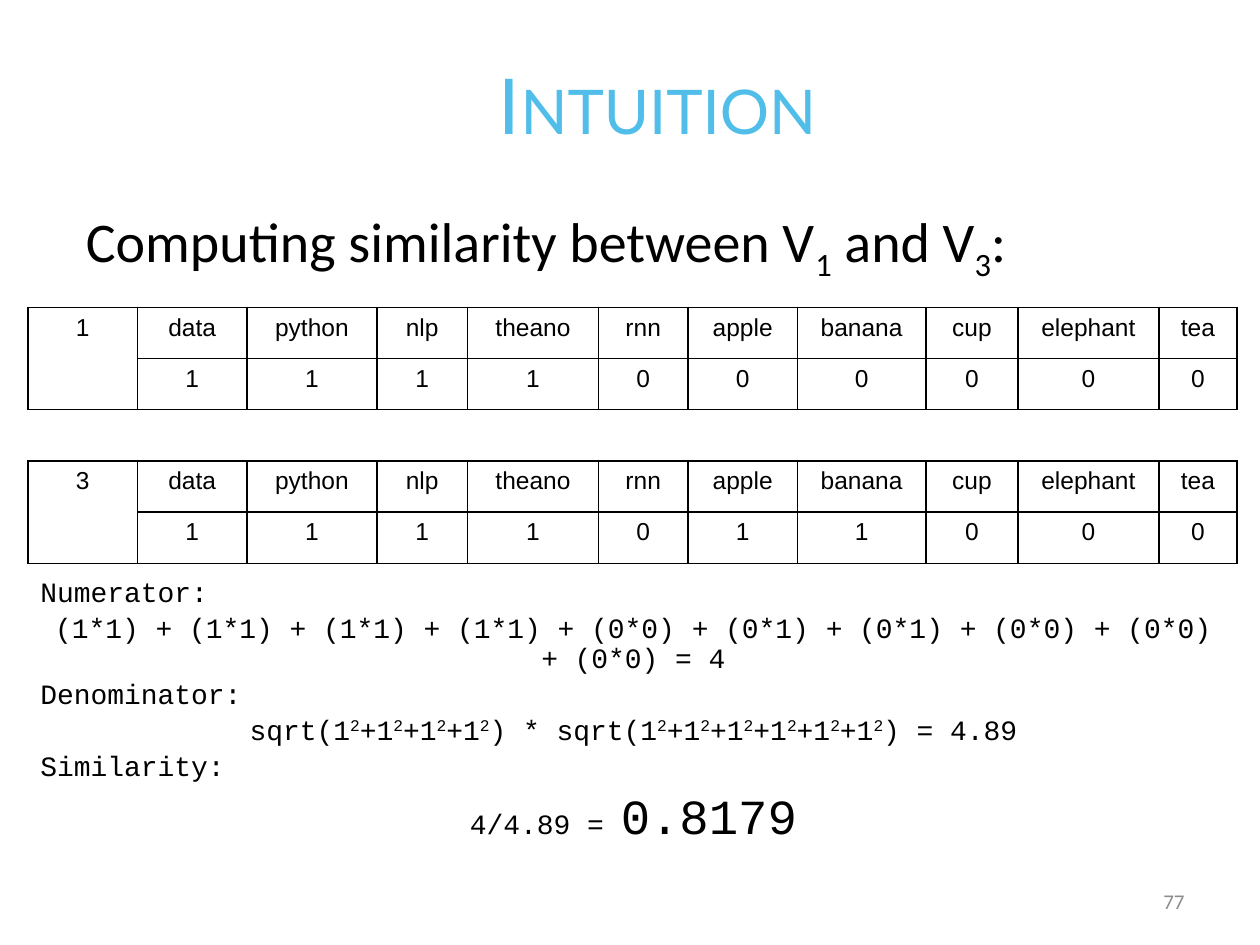
"""Build the slide that works out the similarity of two word-count vectors."""
from lxml import etree
from pptx import Presentation
from pptx.dml.color import RGBColor
from pptx.enum.text import MSO_ANCHOR, PP_ALIGN
from pptx.oxml.ns import qn
from pptx.util import Pt

LEFT, CENTER, RIGHT = PP_ALIGN.LEFT, PP_ALIGN.CENTER, PP_ALIGN.RIGHT
TOP, MIDDLE = MSO_ANCHOR.TOP, MSO_ANCHOR.MIDDLE
COLORS = {"text": "000000", "title": "51BDE9", "number": "8C8C8C"}
WORDS = ["data", "python", "nlp", "theano", "rnn", "apple", "banana",
         "cup", "elephant", "tea"]
COL_WIDTHS = [62.6, 62.6, 74.2, 51.8, 74.9, 51.1, 62.6, 73.4, 52.6, 80.6, 44.6]
ROW_HEIGHT = 29.2
V1 = [1, 1, 1, 1, 0, 0, 0, 0, 0, 0]
V3 = [1, 1, 1, 1, 0, 1, 1, 0, 0, 0]


def set_font(font, name, size, color="text"):
    font.name, font.size = name, Pt(size)
    font.color.rgb = RGBColor.from_string(COLORS[color])


def add_box(s, left, top, width, height, anchor=TOP):
    tf = s.shapes.add_textbox(Pt(left), Pt(top), Pt(width), Pt(height)).text_frame
    tf.word_wrap = True
    tf.vertical_anchor = anchor
    return tf


def write(p, text, name, size, color="text", align=LEFT, **marked):
    """Write text whose parts between bars take the marked run attributes."""
    p.alignment = align
    set_font(p.font, name, size, color)
    for i, part in enumerate(text.split("|")):
        if part:
            r = p.add_run()
            r.text = part
            if i % 2:
                for key, value in marked.items():
                    r.font._element.set(key, value)


def set_borders(cell, width=1):
    tc_pr = cell._tc.get_or_add_tcPr()
    for i, side in enumerate(("lnL", "lnR", "lnT", "lnB")):
        ln = etree.Element(qn(f"a:{side}"), w=str(Pt(width)))
        fill = etree.SubElement(ln, qn("a:solidFill"))
        etree.SubElement(fill, qn("a:srgbClr"), val=COLORS["text"])
        tc_pr.insert(i, ln)


def add_vector_table(s, top, label, counts):
    rows = [[label] + WORDS, [""] + counts]
    table = s.shapes.add_table(2, len(COL_WIDTHS), Pt(16), Pt(top),
                               Pt(sum(COL_WIDTHS)), Pt(2 * ROW_HEIGHT)).table
    table.first_row = table.horz_banding = False
    for column, width in zip(table.columns, COL_WIDTHS):
        column.width = Pt(width)
    for i, values in enumerate(rows):
        table.rows[i].height = Pt(ROW_HEIGHT)
        for j, value in enumerate(values):
            cell = table.cell(i, j)
            cell.fill.background()
            set_borders(cell)
            write(cell.text_frame.paragraphs[0], str(value), "Arial", 14, align=CENTER)
    table.cell(0, 0).merge(table.cell(1, 0))


def add_calculation(s):
    products = " + ".join(f"({a}*{b})" for a, b in zip(V1, V3))
    norms = " * ".join(f"sqrt({'+'.join(['1|2|'] * sum(v))})" for v in (V1, V3))
    superscript, large = {"baseline": "30000"}, {"sz": "2800"}
    lines = [
        ("Numerator:", LEFT, 0, {}),
        (f"{products} = 4", CENTER, 3.2, {}),
        ("Denominator:", LEFT, 3.2, {}),
        (f"{norms} = 4.89", CENTER, 3.2, superscript),
        ("Similarity:", LEFT, 3.2, {}),
        ("4/4.89 = |0.8179", CENTER, 5.6, large),
    ]
    tf = add_box(s, 16, 327, 692, 150)
    for i, (text, align, before, marked) in enumerate(lines):
        p = tf.add_paragraph() if i else tf.paragraphs[0]
        write(p, text, "Courier New", 16, align=align, **marked)
        p.line_spacing = 0.9
        p.space_before = Pt(before)


def main():
    prs = Presentation()
    prs.slide_width, prs.slide_height = Pt(720), Pt(540)
    s = prs.slides.add_slide(prs.slide_layouts[6])
    title = add_box(s, 54, 19.5, 643.5, 79, MIDDLE)
    write(title.paragraphs[0], "|Intuition", "Lato", 44, "title", CENTER, cap="small")
    heading = add_box(s, 42, 114.5, 629, 49)
    write(heading.paragraphs[0], "Computing similarity between V|1| and V|3|:",
          "Calibri", 32, baseline="-25000")
    add_vector_table(s, 175.7, "1", V1)
    add_vector_table(s, 263.5, "3", V3)
    add_calculation(s)
    number = add_box(s, 516, 500.5, 168, 29, MIDDLE)
    write(number.paragraphs[0], "77", "Calibri", 12, "number", RIGHT)
    prs.save("out.pptx")


if __name__ == "__main__":
    main()
